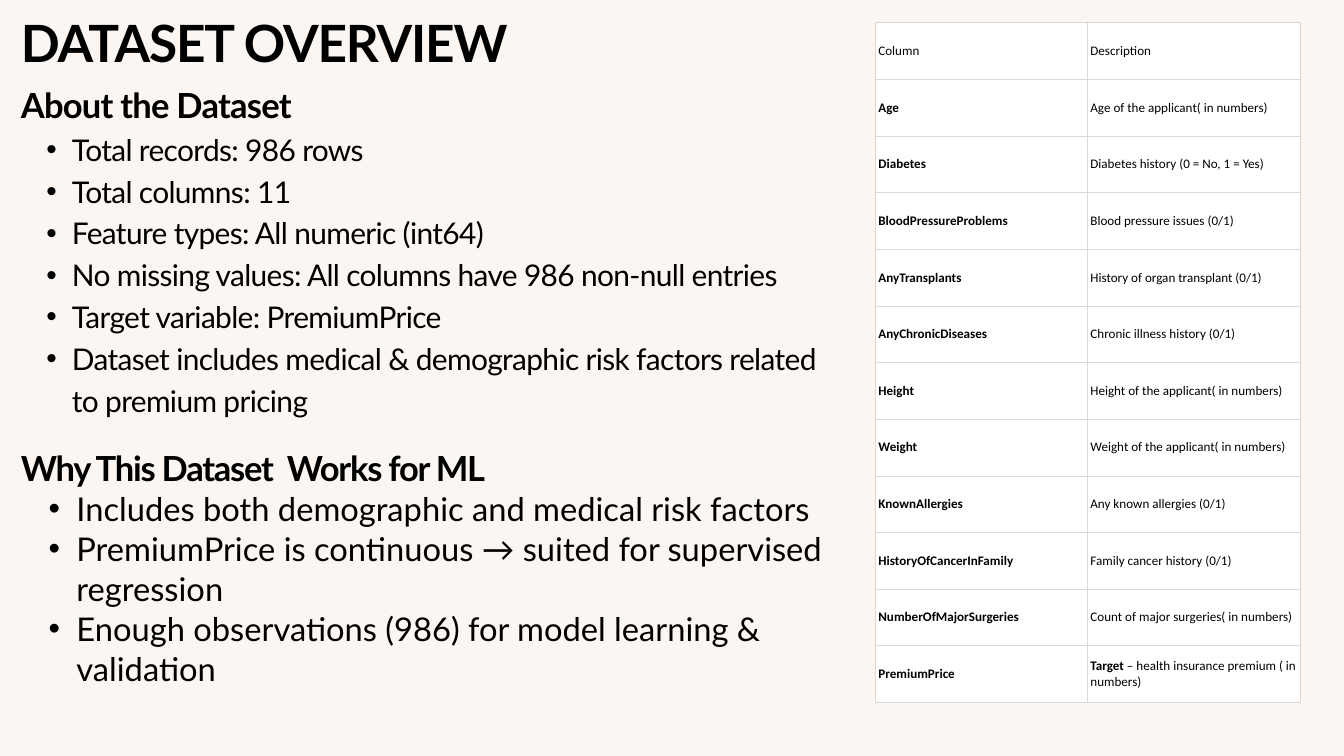
from lxml.etree import SubElement
from pptx import Presentation
from pptx.dml.color import RGBColor
from pptx.enum.text import MSO_ANCHOR, MSO_AUTO_SIZE, PP_ALIGN
from pptx.oxml.ns import qn
from pptx.util import Cm, Pt

FACTS = [
    "Total records: 986 rows",
    "Total columns: 11",
    "Feature types: All numeric (int64)",
    "No missing values: All columns have 986 non-null entries",
    "Target variable: PremiumPrice",
    "Dataset includes medical & demographic risk factors related to premium pricing",
]
REASONS = [
    "Includes both demographic and medical risk factors",
    "PremiumPrice is continuous → suited for supervised regression",
    "Enough observations (986) for model learning & validation",
]
FIELDS = [
    ("Column", "Description"),
    ("Age", "Age of the applicant( in numbers)"),
    ("Diabetes", "Diabetes history (0 = No, 1 = Yes)"),
    ("BloodPressureProblems", "Blood pressure issues (0/1)"),
    ("AnyTransplants", "History of organ transplant (0/1)"),
    ("AnyChronicDiseases", "Chronic illness history (0/1)"),
    ("Height", "Height of the applicant( in numbers)"),
    ("Weight", "Weight of the applicant( in numbers)"),
    ("KnownAllergies", "Any known allergies (0/1)"),
    ("HistoryOfCancerInFamily", "Family cancer history (0/1)"),
    ("NumberOfMajorSurgeries", "Count of major surgeries( in numbers)"),
    ("PremiumPrice", "Target – health insurance premium ( in numbers)"),
]


def paint(hue):
    return RGBColor.from_string(hue)


def write(para, text, size=14, face="Lato", bold=False, hue="000000",
          track=0, lead=None, align=PP_ALIGN.LEFT, dent=0):
    para.alignment = align
    para.space_before = Pt(0)
    if lead:
        para.line_spacing = Pt(lead)
    if dent:
        para.level = 1
        props = para._p.get_or_add_pPr()
        props.set("marL", str(Cm(dent)))
        props.set("indent", str(-Cm(dent / 2)))
        SubElement(props, qn("a:buFont"), typeface="Arial")
        SubElement(props, qn("a:buChar"), char="•")
    run = para.add_run()
    run.text = text
    font = run.font
    font.size, font.name, font.bold = Pt(size), face, bold
    font.color.rgb = paint(hue)
    if track:
        run._r.get_or_add_rPr().set("spc", str(round(track * 100)))


def fit(shape, box):
    shape.left, shape.top, shape.width, shape.height = map(Cm, box)
    frame = shape.text_frame
    frame.word_wrap = True
    frame.auto_size = MSO_AUTO_SIZE.NONE
    frame.vertical_anchor = MSO_ANCHOR.TOP
    frame.margin_left = frame.margin_right = 0
    frame.margin_top = frame.margin_bottom = 0
    return frame


def add_title(slide, box):
    frame = fit(slide.shapes.title, box)
    write(frame.paragraphs[0], "DATASET OVERVIEW", size=55, bold=True,
          track=-1.2, lead=52.8)


def add_list(slide, box, head, items, tight, align=PP_ALIGN.LEFT, **style):
    frame = fit(slide.shapes.add_textbox(*map(Cm, box)), box)
    write(frame.paragraphs[0], head, size=37, bold=True, track=tight,
          lead=51.8, align=align)
    for item in items:
        write(frame.add_paragraph(), item, **style)


def edge(cell, hue, width):
    props = cell._tc.get_or_add_tcPr()
    for side in ("lnL", "lnR", "lnT", "lnB"):
        line = SubElement(props, qn("a:" + side), w=str(Pt(width)))
        fill = SubElement(line, qn("a:solidFill"))
        SubElement(fill, qn("a:srgbClr"), val=hue)


def add_fields(slide, box, rows):
    table = slide.shapes.add_table(len(rows), 2, *map(Cm, box)).table
    for row in table.rows:
        row.height = Cm(box[3] / len(rows))
    for r, row in enumerate(rows):
        for c, text in enumerate(row):
            cell = table.cell(r, c)
            edge(cell, "D9D9D9", 0.75)
            cell.fill.solid()
            cell.fill.fore_color.rgb = paint("FFFFFF")
            cell.vertical_anchor = MSO_ANCHOR.MIDDLE
            cell.margin_left = cell.margin_right = Cm(0.1)
            cell.margin_top = cell.margin_bottom = Cm(0.05)
            para = cell.text_frame.paragraphs[0]
            lead, dash, rest = text.partition(" – ")
            write(para, lead, face="Calibri",
                  bold=bool(dash) or (r > 0 and c == 0))
            if dash:
                write(para, dash + rest, face="Calibri")


def main():
    deck = Presentation()
    deck.slide_width, deck.slide_height = Cm(50.8), Cm(28.58)
    slide = deck.slides.add_slide(deck.slide_layouts[5])
    slide.background.fill.solid()
    slide.background.fill.fore_color.rgb = paint("FBF6F1")
    left, wide = 0.79, 30.84
    add_title(slide, (left, 0.89, 50.8, 1.98))
    add_list(slide, (left, 2.92, wide, 14.2), "About the Dataset", FACTS,
             -0.8, size=32, track=-0.7, lead=44.8, dent=1.93)
    add_list(slide, (left, 16.64, wide, 10.8),
             "Why This Dataset  Works for ML", REASONS, -1.3,
             align=PP_ALIGN.JUSTIFY, size=35, lead=42.7, dent=2.1)
    add_fields(slide, (33.1, 0.86, 16.03, 25.7), FIELDS)
    deck.save("out.pptx")


if __name__ == "__main__":
    main()
